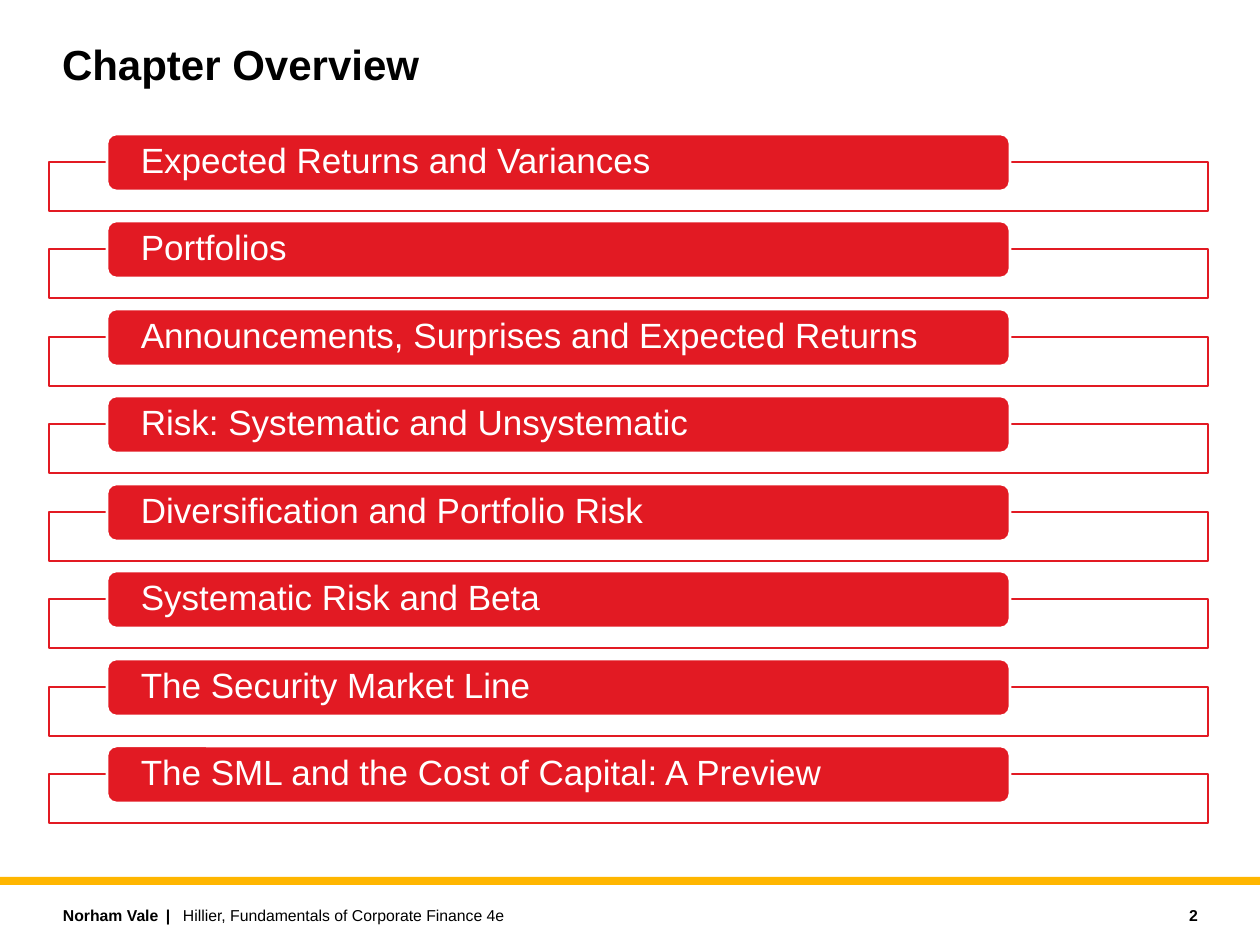
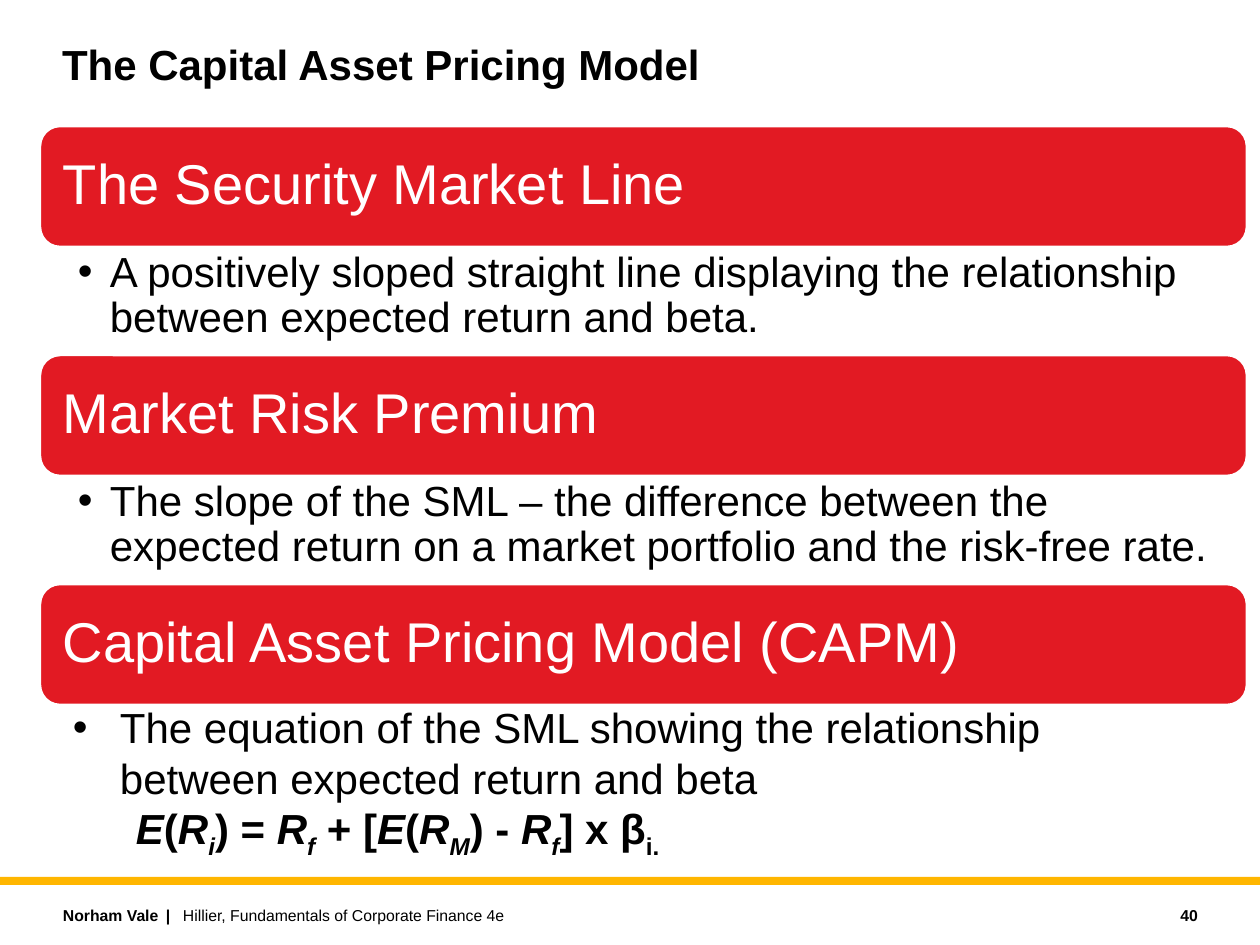
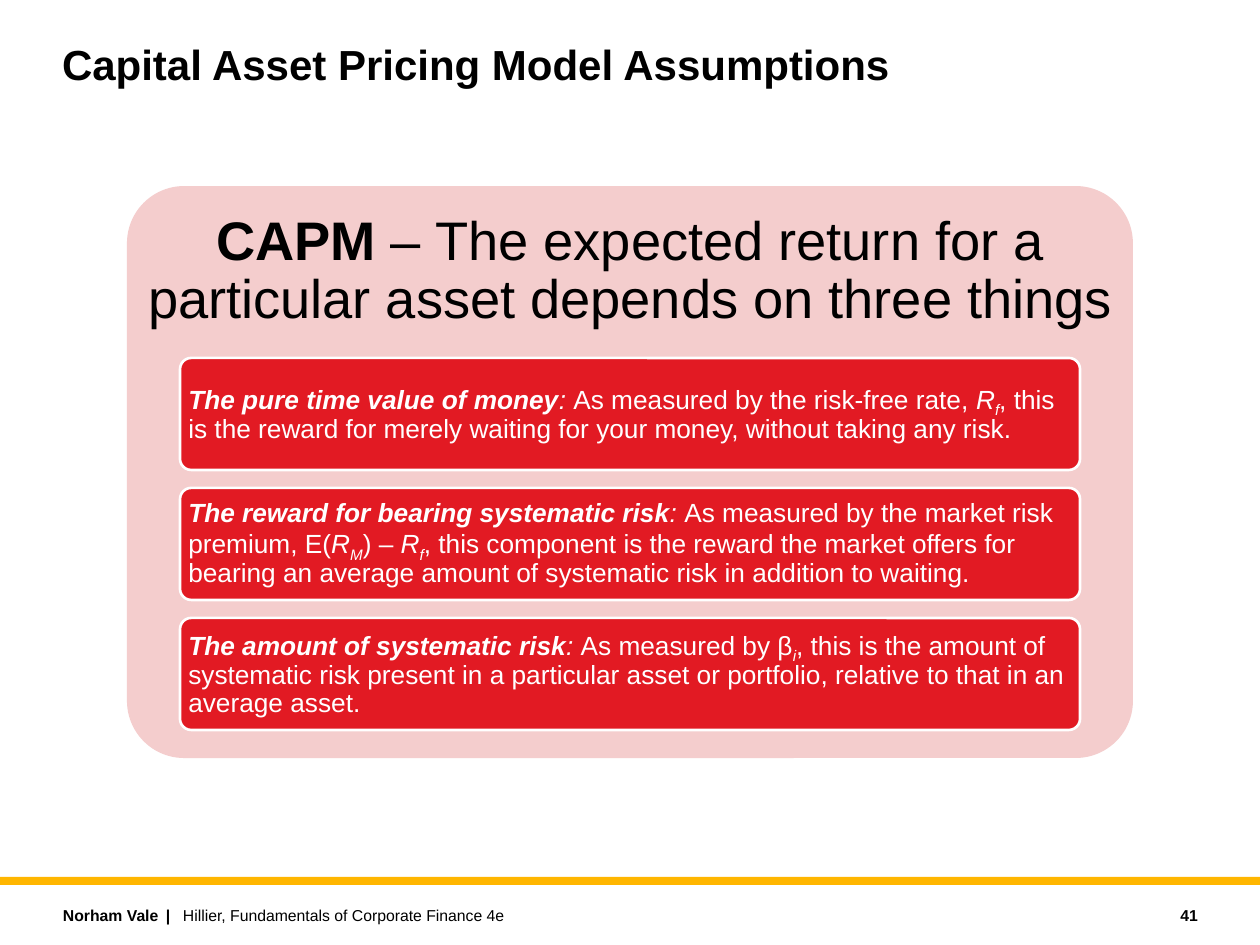
"""Build three corporate finance slides on risk, return and the CAPM."""
from dataclasses import dataclass
from typing import NamedTuple

from lxml.etree import SubElement
from pptx import Presentation
from pptx.dml.color import RGBColor
from pptx.enum.shapes import MSO_SHAPE
from pptx.enum.text import MSO_ANCHOR, MSO_AUTO_SIZE, PP_ALIGN
from pptx.oxml.ns import qn
from pptx.util import Emu, Pt

EMU_PER_INCH, PX_PER_INCH = 914400, 126
TITLE_ONLY = 5


@dataclass(frozen=True)
class Theme:
    """Colours, font and type sizes of the deck."""
    font: str = "Arial"
    red: str = "E21A23"
    pink: str = "F4CDCD"
    gold: str = "FFB600"
    white: str = "FFFFFF"
    black: str = "000000"
    title: int = 24
    footer: int = 9
    topic: int = 20
    banner: int = 32
    body: int = 24
    lead: int = 31
    card: int = 15


class Box(NamedTuple):
    """Place and size in px."""
    x: int
    y: int
    w: int
    h: int


class Run(NamedTuple):
    """Text with one style."""
    text: str
    bold: bool = False
    italic: bool = False
    sub: bool = False


class Para(NamedTuple):
    """Runs with paragraph settings; margin and hang in px."""
    runs: list[Run]
    spacing: float = 0.9
    align: PP_ALIGN = PP_ALIGN.LEFT
    margin: int = 0
    hang: int = 0


class Style(NamedTuple):
    """Type size, colour, insets in px and anchor of a text frame."""
    size: int
    color: str
    insets: tuple[int, int, int, int] = (13, 6, 13, 6)
    anchor: MSO_ANCHOR = MSO_ANCHOR.MIDDLE


class Section(NamedTuple):
    """A banner heading and the bullet below it."""
    heading: str
    bullet: str = ""


class FooterPart(NamedTuple):
    """A piece of the footer with its left edge and width in px."""
    x: int
    w: int
    run: Run
    align: PP_ALIGN = PP_ALIGN.LEFT


T = Theme()
FOOTER = Style(T.footer, T.black)
TITLE = Style(T.title, T.black, anchor=MSO_ANCHOR.TOP)
TOPIC = Style(T.topic, T.white, (31, 0, 30, 0))
BANNER = Style(T.banner, T.white, (17, 16, 16, 16))
BULLET = Style(T.body, T.black, (38, 4, 24, 4), MSO_ANCHOR.TOP)
EQUATION = Style(T.body, T.black, anchor=MSO_ANCHOR.TOP)
LEAD = Style(T.lead, T.black, (16, 16, 16, 16))
CARD = Style(T.card, T.white, (5, 4, 5, 4))

TOPICS = [
    "Expected Returns and Variances",
    "Portfolios",
    "Announcements, Surprises and Expected Returns",
    "Risk: Systematic and Unsystematic",
    "Diversification and Portfolio Risk",
    "Systematic Risk and Beta",
    "The Security Market Line",
    "The SML and the Cost of Capital: A Preview",
]
SECTIONS = [
    Section("The Security Market Line",
            "A positively sloped straight line displaying the relationship "
            "between expected return and beta."),
    Section("Market Risk Premium",
            "The slope of the SML – the difference between the expected return "
            "on a market portfolio and the risk-free rate."),
    Section("Capital Asset Pricing Model (CAPM)"),
]
FOOTER_PARTS = [
    FooterPart(50, 125, Run("Norham Vale", True)),
    FooterPart(153, 40, Run("|", True)),
    FooterPart(170, 756, Run("Hillier, Fundamentals of Corporate Finance 4e")),
]


def symbol(letter: str, sub: str, bold: bool = False) -> list[Run]:
    """Return an italic symbol with its subscript."""
    return [Run(letter, bold, True), Run(sub, bold, True, True)]


def card(term: str, *rest: Run) -> list[Run]:
    """Return a bold italic term followed by its explanation."""
    return [Run(term, True, True), Run(": ", italic=True), *rest]


CAPM = [
    Run("E", True, True), Run("(", True), *symbol("R", "i", True),
    Run(") = ", True), *symbol("R", "f", True),
    Run(" + [", True), Run("E", True, True), Run("(", True), *symbol("R", "M", True),
    Run(") - ", True), *symbol("R", "f", True),
    Run("] x β", True), Run("i.", True, sub=True),
]
CARDS = [
    card("The pure time value of money",
         Run("As measured by the risk-free rate, "), *symbol("R", "f"),
         Run(", this is the reward for merely waiting for your money, "
             "without taking any risk.")),
    card("The reward for bearing systematic risk",
         Run("As measured by the market risk premium, E("), *symbol("R", "M"),
         Run(") – "), *symbol("R", "f"),
         Run(", this component is the reward the market offers for bearing an "
             "average amount of systematic risk in addition to waiting.")),
    card("The amount of systematic risk",
         Run("As measured by β"), Run("i", italic=True, sub=True),
         Run(", this is the amount of systematic risk present in a particular "
             "asset or portfolio, relative to that in an average asset.")),
]


def px(n: int) -> Emu:
    """Turn px into EMU."""
    return Emu(round(n * EMU_PER_INCH / PX_PER_INCH))


def place(box: Box) -> list[Emu]:
    """Turn a box into EMU."""
    return [px(n) for n in box]


def write(tf, paras: list[Para], style: Style) -> None:
    """Fill a text frame run by run."""
    tf.word_wrap = True
    tf.auto_size = MSO_AUTO_SIZE.NONE
    tf.vertical_anchor = style.anchor
    (tf.margin_left, tf.margin_top,
     tf.margin_right, tf.margin_bottom) = map(px, style.insets)
    for i, para in enumerate(paras):
        p = tf.add_paragraph() if i else tf.paragraphs[0]
        pPr = p._p.get_or_add_pPr()
        pPr.set("marL", str(px(para.margin)))
        pPr.set("indent", str(px(-para.hang)))
        if para.hang:
            SubElement(pPr, qn("a:buFont"), typeface=T.font)
            SubElement(pPr, qn("a:buChar"), char="•")
        p.alignment = para.align
        p.line_spacing = para.spacing
        for run in para.runs:
            r = p.add_run()
            r.text = run.text
            r.font.name, r.font.size = T.font, Pt(style.size)
            r.font.bold, r.font.italic = run.bold, run.italic
            r.font.color.rgb = RGBColor.from_string(style.color)
            if run.sub:
                r._r.get_or_add_rPr().set("baseline", "-25000")


def add_text(s, box: Box, paras: list[Para], style: Style) -> None:
    """Add a text box."""
    write(s.shapes.add_textbox(*place(box)).text_frame, paras, style)


def add_panel(s, kind: MSO_SHAPE, box: Box, fill: str, line: str = "",
              width: float = 1.5, radius: float = 0):
    """Add a filled shape, outlined when a line colour is given."""
    sp = s.shapes.add_shape(kind, *place(box))
    sp.shadow.inherit = False
    sp.fill.solid()
    sp.fill.fore_color.rgb = RGBColor.from_string(fill)
    if line:
        sp.line.color.rgb = RGBColor.from_string(line)
        sp.line.width = Pt(width)
    else:
        sp.line.fill.background()
    if radius:
        sp.adjustments[0] = radius
    return sp


def add_red_label(s, box: Box, runs: list[Run], style: Style, radius: float = 0) -> None:
    """Add a rounded red box with white text."""
    sp = add_panel(s, MSO_SHAPE.ROUNDED_RECTANGLE, box, T.red, T.white, radius=radius)
    write(sp.text_frame, [Para(runs)], style)


def add_slide(prs, title: str, number: int):
    """Add a slide with its title, gold band and footer."""
    s = prs.slides.add_slide(prs.slide_layouts[TITLE_ONLY])
    sp = s.shapes.title
    sp.left, sp.top, sp.width, sp.height = place(Box(49, 38, 961, 113))
    write(sp.text_frame, [Para([Run(title, True)])], TITLE)
    add_panel(s, MSO_SHAPE.RECTANGLE, Box(0, 877, 1260, 8), T.gold)
    page = FooterPart(1079, 132, Run(str(number), True), PP_ALIGN.RIGHT)
    for part in [*FOOTER_PARTS, page]:
        add_text(s, Box(part.x, 899, part.w, 32), [Para([part.run], 1, part.align)], FOOTER)
    return s


def overview(prs) -> None:
    """Build the list of chapter topics."""
    s = add_slide(prs, "Chapter Overview", 2)
    for i, topic in enumerate(TOPICS):
        y = 134 + 175 * i // 2
        add_panel(s, MSO_SHAPE.RECTANGLE, Box(49, y + 28, 1159, 49), T.white, T.red, 1)
        add_red_label(s, Box(107, y, 903, 57), [Run(topic)], TOPIC)


def pricing_model(prs) -> None:
    """Build the three banners and the CAPM equation."""
    s = add_slide(prs, "The Capital Asset Pricing Model", 40)
    for i, section in enumerate(SECTIONS):
        y = 126 + 229 * i
        add_red_label(s, Box(40, y, 1207, 121), [Run(section.heading)], BANNER)
        if section.bullet:
            add_text(s, Box(40, y + 121, 1207, 107),
                     [Para([Run(section.bullet)], margin=32, hang=32)], BULLET)
    add_text(s, Box(60, 696, 1159, 171), [
        Para([Run("The equation of the SML showing the relationship between "
                  "expected return and beta")], 1, margin=47, hang=47),
        Para(CAPM, 1, margin=63),
    ], EQUATION)


def assumptions(prs) -> None:
    """Build the panel with the three parts of expected return."""
    s = add_slide(prs, "Capital Asset Pricing Model Assumptions", 41)
    add_panel(s, MSO_SHAPE.ROUNDED_RECTANGLE, Box(127, 186, 1006, 572), T.pink, radius=0.1)
    add_text(s, Box(127, 186, 1006, 172), [Para([
        Run("CAPM ", True),
        Run("– The expected return for a particular asset depends on three things"),
    ], align=PP_ALIGN.CENTER)], LEAD)
    for i, runs in enumerate(CARDS):
        add_red_label(s, Box(180, 358 + 130 * i, 900, 112), runs, CARD, 0.1)


def main() -> None:
    """Build and save the deck."""
    prs = Presentation()
    prs.slide_width, prs.slide_height = px(1260), px(945)
    overview(prs)
    pricing_model(prs)
    assumptions(prs)
    prs.save("out.pptx")


if __name__ == "__main__":
    main()
